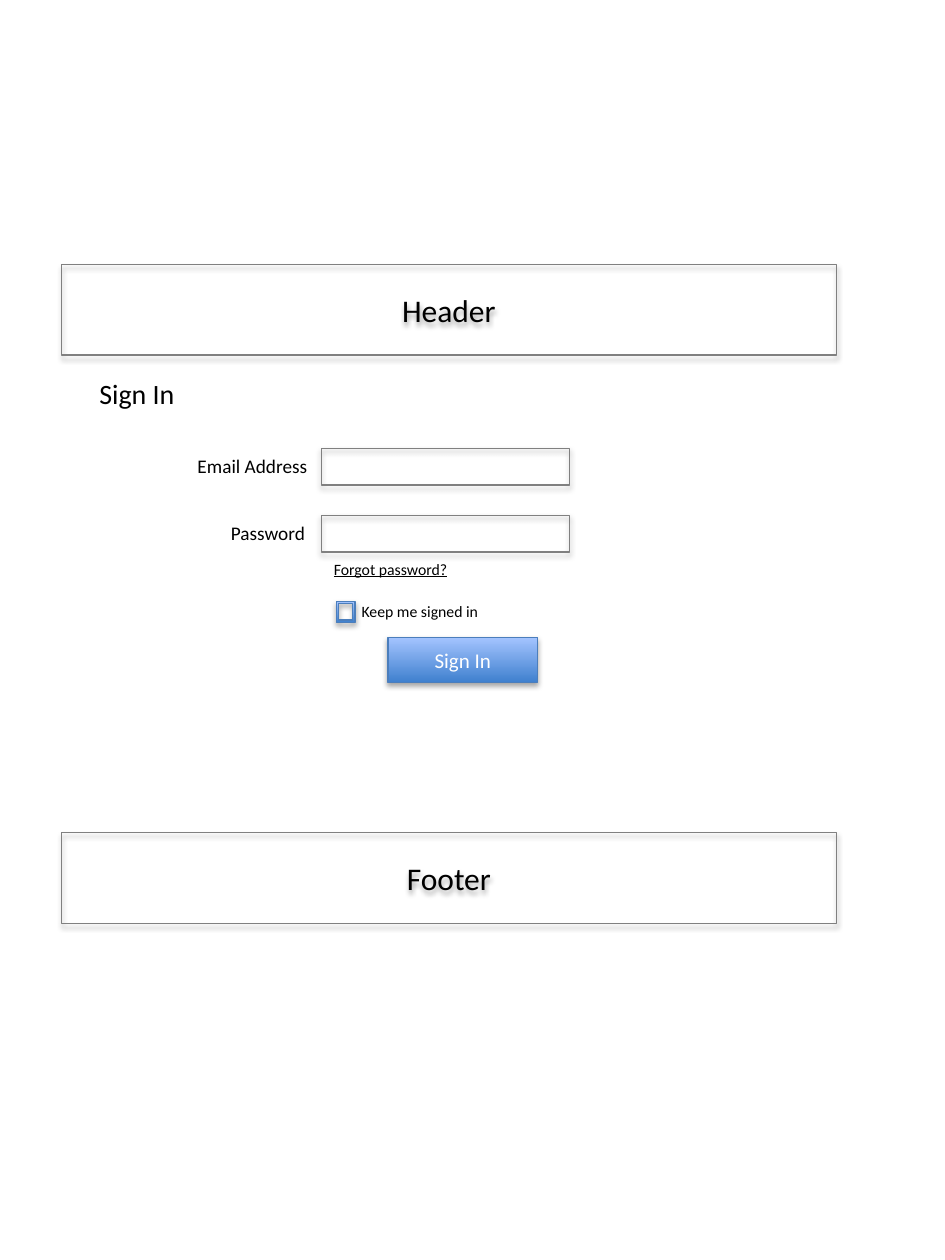
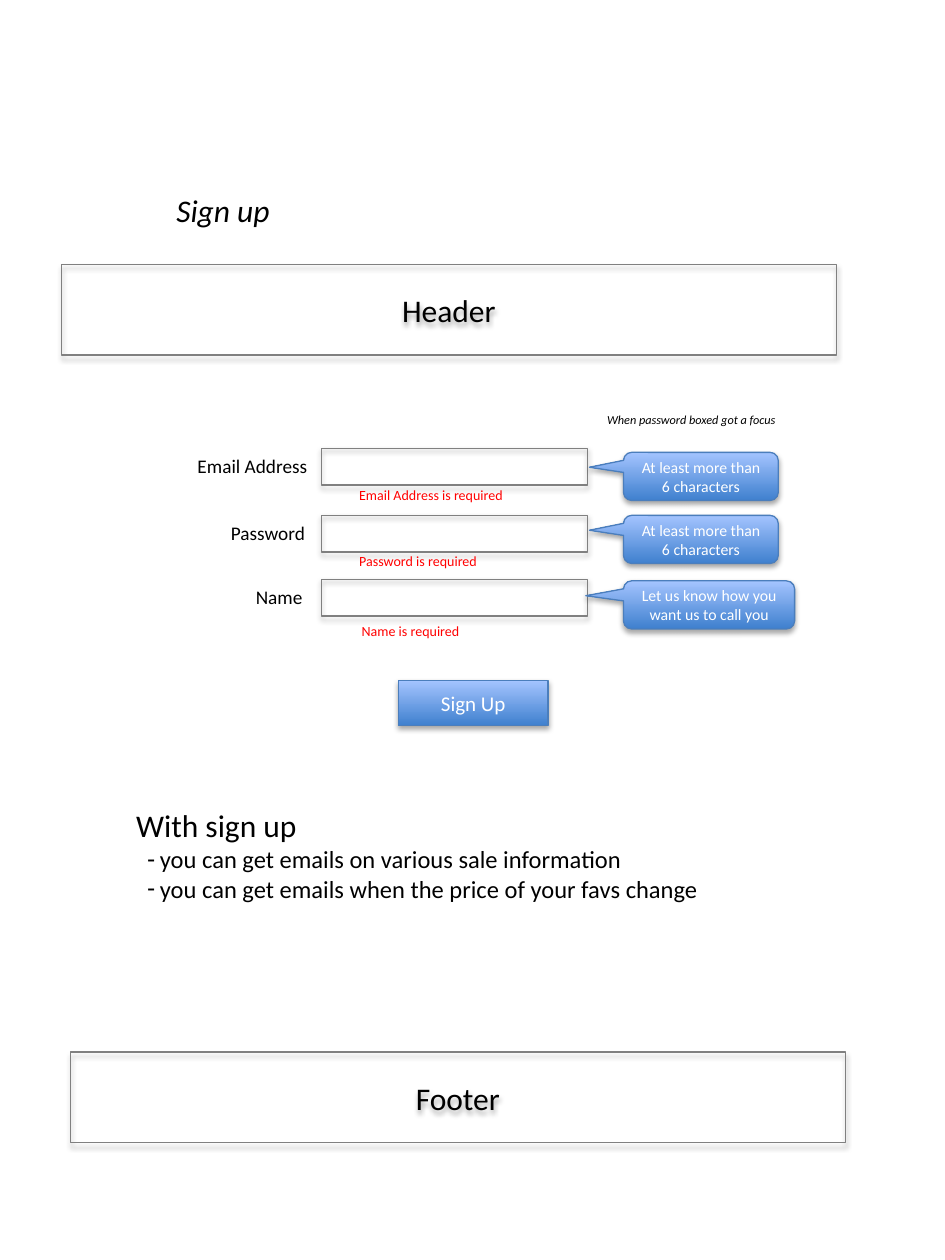
"""Build the sign-in and sign-up wireframe slides."""
from dataclasses import dataclass
from typing import Optional

from lxml.etree import SubElement
from pptx import Presentation
from pptx.dml.color import RGBColor
from pptx.enum.shapes import MSO_SHAPE as Shp
from pptx.enum.text import MSO_ANCHOR as Anchor, MSO_AUTO_SIZE as Fit, PP_ALIGN as Align
from pptx.oxml.ns import qn
from pptx.util import Cm, Pt

FONT = "Calibri"
COLORS = {
    "text": "000000",
    "light": "FFFFFF",
    "error": "FF0000",
    "outline": "808080",
    "accent_line": "4B7EBC",
    "accent_low": "3F80CE",
    "accent_high": "A4C4FF",
    "shadow": "000000",
}
FIELD_LEFT, ROW_H = 6.48, 0.74
BAND_W, BAND_H = 15.62, 1.83
BAND_LEFT, HEADER_TOP = 1.24, 5.33
CALLOUT_LEFT, CALLOUT_H = 12.57, 0.97
BUTTON_W, BUTTON_H = 3.02, 0.91
LIST_INDENT, LIST_HANG = 0.48, 0.26


@dataclass(frozen=True)
class Box:
    left: float
    top: float
    width: float
    height: float

    def lengths(self) -> tuple:
        return Cm(self.left), Cm(self.top), Cm(self.width), Cm(self.height)


@dataclass(frozen=True)
class Style:
    size: float
    color: str = "text"
    italic: bool = False
    underline: bool = False
    align: Align = Align.LEFT


@dataclass(frozen=True)
class Field:
    label: str
    label_left: float
    label_width: float
    top: float


@dataclass(frozen=True)
class Hint:
    text: str
    box: Box


BAND = Style(18, align=Align.CENTER)
LABEL = Style(11, align=Align.RIGHT)
BUTTON = Style(12, "light", align=Align.CENTER)
CALLOUT = Style(9, "light", align=Align.CENTER)
ERROR = Style(8, "error")

EMAIL = Field("Email Address", 3.71, 2.74, 9.04)
PASSWORD = Field("Password", 4.37, 2.03, 10.39)
NAME = Field("Name", 4.88, 1.47, 11.68)

ERRORS = [
    Hint("Email Address is required", Box(6.99, 9.68, 3.45, 0.61)),
    Hint("Password is required", Box(6.99, 11.02, 2.95, 0.61)),
    Hint("Name is required", Box(7.04, 12.42, 2.51, 0.61)),
]
CALLOUTS = [
    Hint("At least more than 6 characters", Box(CALLOUT_LEFT, 9.12, 3.12, CALLOUT_H)),
    Hint("At least more than 6 characters", Box(CALLOUT_LEFT, 10.39, 3.12, CALLOUT_H)),
    Hint("Let us know how you want us to call you", Box(CALLOUT_LEFT, 11.71, 3.45, CALLOUT_H)),
]
BENEFITS = [
    "you can get emails on various sale information",
    "you can get emails when the price of your favs change",
]


def rgb(name: str) -> RGBColor:
    return RGBColor.from_string(COLORS[name])


def add_run(p, text: str, style: Style) -> None:
    p.alignment = style.align
    r = p.add_run()
    r.text = text
    r.font.name = FONT
    r.font.size = Pt(style.size)
    r.font.color.rgb = rgb(style.color)
    if style.italic:
        r.font.italic = True
    if style.underline:
        r.font.underline = True


def place(sp, box: Box) -> None:
    sp.left, sp.top, sp.width, sp.height = box.lengths()


def fit_text(tf) -> None:
    tf.word_wrap = False
    tf.auto_size = Fit.SHAPE_TO_FIT_TEXT
    tf.vertical_anchor = Anchor.TOP


def add_text(s, text: str, box: Box, style: Style) -> None:
    tf = s.shapes.add_textbox(*box.lengths()).text_frame
    fit_text(tf)
    add_run(tf.paragraphs[0], text, style)


def set_title(s, text: str, box: Box, style: Style) -> None:
    sp = s.shapes.title
    place(sp, box)
    fit_text(sp.text_frame)
    add_run(sp.text_frame.paragraphs[0], text, style)


def add_shadow(sp) -> None:
    sp.shadow.inherit = False
    effects = sp._element.spPr.find(qn("a:effectLst"))
    shadow = SubElement(effects, qn("a:outerShdw"), blurRad=str(Pt(3.1)),
                        dist=str(Pt(1.8)), dir="5400000", rotWithShape="0")
    color = SubElement(shadow, qn("a:srgbClr"), val=COLORS["shadow"])
    SubElement(color, qn("a:alpha"), val="35000")


def add_box(s, kind: Shp, box: Box, text: str = "", style: Optional[Style] = None,
            accent: bool = False):
    sp = s.shapes.add_shape(kind, *box.lengths())
    if accent:
        sp.fill.gradient()
        sp.fill.gradient_angle = 90
        for stop, name in zip(sp.fill.gradient_stops, ("accent_low", "accent_high")):
            stop.color.rgb = rgb(name)
    else:
        sp.fill.background()
    sp.line.color.rgb = rgb("accent_line" if accent else "outline")
    sp.line.width = Pt(0.75)
    add_shadow(sp)
    if style:
        tf = sp.text_frame
        tf.vertical_anchor = Anchor.MIDDLE
        add_run(tf.paragraphs[0], text, style)
    return sp


def add_bands(s, footer_left: float, footer_top: float) -> None:
    for text, left, top in (("Header", BAND_LEFT, HEADER_TOP),
                            ("Footer", footer_left, footer_top)):
        add_box(s, Shp.RECTANGLE, Box(left, top, BAND_W, BAND_H), text, BAND)


def add_fields(s, fields: list, width: float) -> None:
    for f in fields:
        add_text(s, f.label, Box(f.label_left, f.top, f.label_width, ROW_H), LABEL)
        add_box(s, Shp.RECTANGLE, Box(FIELD_LEFT, f.top, width, ROW_H))


def add_button(s, text: str, left: float, top: float) -> None:
    add_box(s, Shp.RECTANGLE, Box(left, top, BUTTON_W, BUTTON_H), text, BUTTON, accent=True)


def add_callout(s, hint: Hint) -> None:
    sp = add_box(s, Shp.ROUNDED_RECTANGULAR_CALLOUT, hint.box, hint.text, CALLOUT, accent=True)
    for i, value in enumerate((-0.72, -0.19, 0.17)):
        sp.adjustments[i] = value


def indent(p, left: float, hang: float, bullet: str = "") -> None:
    p.space_before = Pt(0)
    pPr = p._p.get_or_add_pPr()
    pPr.set("marL", str(Cm(left)))
    pPr.set("indent", str(-Cm(hang)))
    if bullet:
        SubElement(pPr, qn("a:buChar"), char=bullet)
    else:
        SubElement(pPr, qn("a:buNone"))


def fill_list(sp, box: Box, heading: str, items: list) -> None:
    place(sp, box)
    tf = sp.text_frame
    fit_text(tf)
    p = tf.paragraphs[0]
    indent(p, 0, 0)
    add_run(p, heading, Style(18))
    for item in items:
        p = tf.add_paragraph()
        indent(p, LIST_INDENT, LIST_HANG, "-")
        add_run(p, item, Style(14))


def build_sign_in(prs) -> None:
    s = prs.slides.add_slide(prs.slide_layouts.get_by_name("Title Only"))
    set_title(s, "Sign In", Box(1.75, 7.47, 2.06, 0.94), Style(16))
    add_bands(s, BAND_LEFT, 16.79)
    add_fields(s, [EMAIL, PASSWORD], 5)
    add_button(s, "Sign In", 7.82, 12.85)
    add_text(s, "Keep me signed in", Box(7.04, 12.01, 2.9, 0.64), Style(9))
    add_box(s, Shp.FRAME, Box(6.78, 12.12, 0.38, 0.43), accent=True)
    add_text(s, "Forgot password?", Box(FIELD_LEFT, 11.15, 2.92, 0.64),
             Style(9, underline=True))


def build_sign_up(prs) -> None:
    s = prs.slides.add_slide(prs.slide_layouts.get_by_name("Title and Content"))
    set_title(s, "Sign up", Box(3.3, 3.73, 2.57, 1.02), Style(18, italic=True))
    add_bands(s, 1.42, 21.21)
    add_fields(s, [EMAIL, PASSWORD, NAME], 5.36)
    for hint in ERRORS:
        add_text(s, hint.text, hint.box, ERROR)
    add_button(s, "Sign Up", 8.03, 13.72)
    for hint in CALLOUTS:
        add_callout(s, hint)
    add_text(s, "When password boxed got a focus", Box(11.99, 8.18, 4.04, 0.56),
             Style(7, italic=True))
    fill_list(s.placeholders[1], Box(2.49, 16.13, 11.99, 2.24), "With sign up", BENEFITS)


prs = Presentation()
prs.slide_width, prs.slide_height = Cm(19.05), Cm(25.4)
build_sign_in(prs)
build_sign_up(prs)
prs.save("out.pptx")
